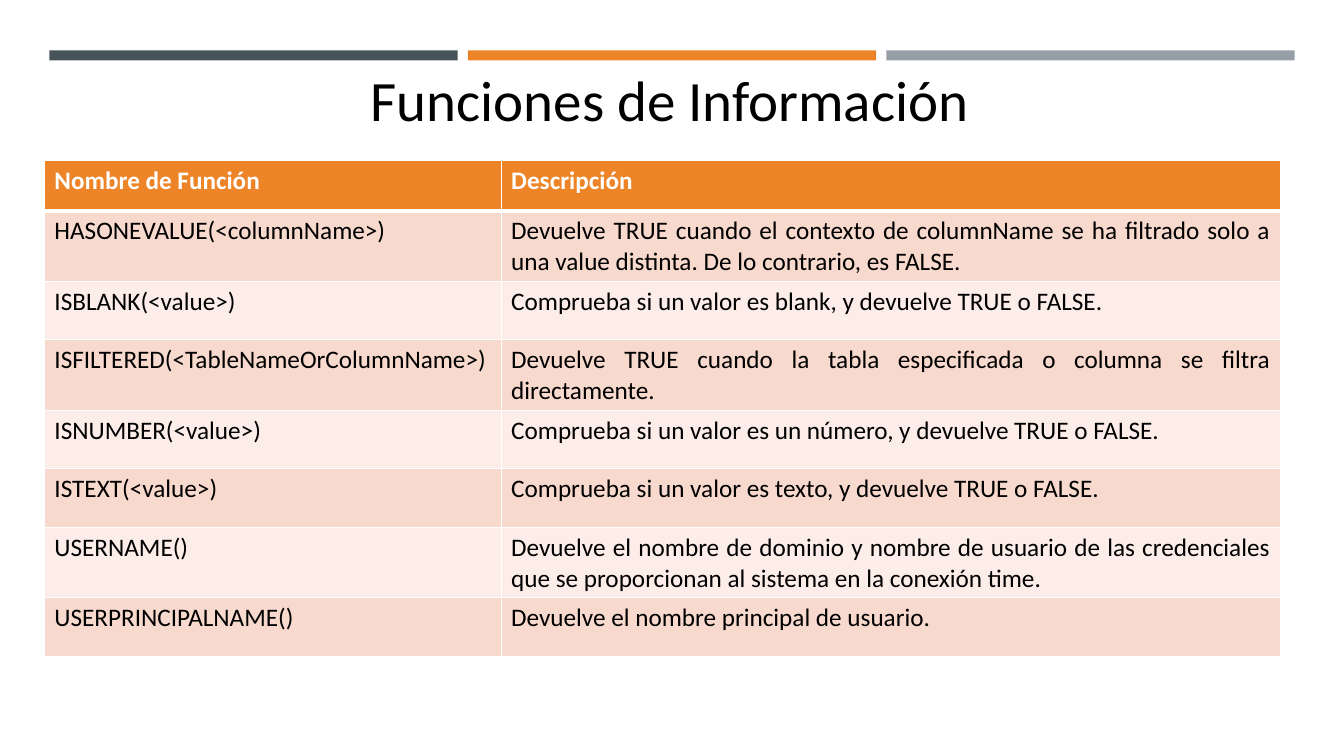
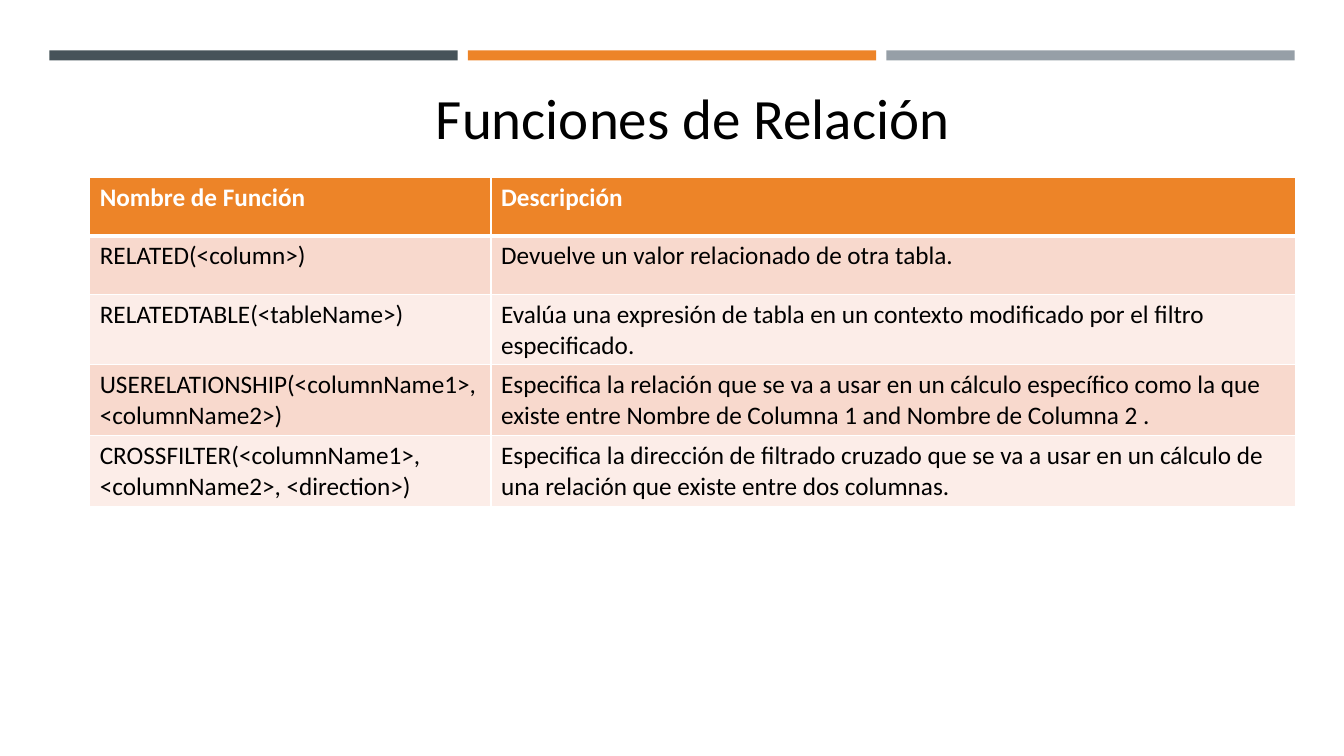
import pptx
import pptx.util
import pptx.dml.color
import pptx.enum.shapes
import pptx.enum.text
import pptx.oxml.ns
import lxml.etree

Inches = pptx.util.Inches
Pt = pptx.util.Pt
RGBColor = pptx.dml.color.RGBColor
Align = pptx.enum.text.PP_ALIGN

SLATE = RGBColor(0x46, 0x53, 0x59)
ORANGE = RGBColor(0xED, 0x84, 0x28)
GRAY = RGBColor(0x96, 0x9F, 0xA7)
WHITE = RGBColor(0xFF, 0xFF, 0xFF)
BLACK = RGBColor(0, 0, 0)
ROW_FILLS = (RGBColor(0xF8, 0xD9, 0xCD), RGBColor(0xFC, 0xED, 0xE8))

FONT = "Calibri"
TITLE_SIZE = 40.7
TABLE_SIZE = 18
ROW_HEIGHT = 0.58
HEADINGS = ("Nombre de Función", "Descripción")

INFORMATION_ROWS = [
    ("HASONEVALUE(<columnName>)",
     "Devuelve TRUE cuando el contexto de columnName se ha filtrado solo a una value distinta. "
     "De lo contrario, es FALSE."),
    ("ISBLANK(<value>)", "Comprueba si un valor es blank, y devuelve TRUE o FALSE."),
    ("ISFILTERED(<TableNameOrColumnName>)",
     "Devuelve TRUE cuando la tabla especificada o columna se filtra directamente."),
    ("ISNUMBER(<value>)", "Comprueba si un valor es un número, y devuelve TRUE o FALSE."),
    ("ISTEXT(<value>)", "Comprueba si un valor es texto, y devuelve TRUE o FALSE."),
    ("USERNAME()",
     "Devuelve el nombre de dominio y nombre de usuario de las credenciales que se proporcionan "
     "al sistema en la conexión time."),
    ("USERPRINCIPALNAME()", "Devuelve el nombre principal de usuario."),
]

RELATION_ROWS = [
    ("RELATED(<column>)", "Devuelve un valor relacionado de otra tabla."),
    ("RELATEDTABLE(<tableName>)",
     "Evalúa una expresión de tabla en un contexto modificado por el filtro especificado."),
    ("USERELATIONSHIP(<columnName1>,<columnName2>)",
     "Especifica la relación que se va a usar en un cálculo específico como la que existe entre "
     "Nombre de Columna 1 and Nombre de Columna 2 ."),
    ("CROSSFILTER(<columnName1>, <columnName2>, <direction>)",
     "Especifica la dirección de filtrado cruzado que se va a usar en un cálculo de una relación "
     "que existe entre dos columnas."),
]


def style_text(paragraph, size, color, bold=False, align=Align.LEFT):
    paragraph.alignment = align
    for span in paragraph.runs:
        span.font.name = FONT
        span.font.size = Pt(size)
        span.font.bold = bold
        span.font.color.rgb = color


def add_bands(page):
    for index, color in enumerate((SLATE, ORANGE, GRAY)):
        band = page.shapes.add_shape(
            pptx.enum.shapes.MSO_SHAPE.RECTANGLE,
            Inches(0.49 + 4.15 * index), Inches(0.5), Inches(4.05), Inches(0.1))
        band.shadow.inherit = False
        band.fill.solid()
        band.fill.fore_color.rgb = color
        band.line.fill.background()


def add_title(page, title, left, top):
    box = page.shapes.add_textbox(Inches(left), Inches(top), Inches(10.54), Inches(0.67))
    frame = box.text_frame
    frame.word_wrap = True
    frame.vertical_anchor = pptx.enum.text.MSO_ANCHOR.MIDDLE
    frame.text = title
    para = frame.paragraphs[0]
    para.line_spacing = 0.8
    style_text(para, TITLE_SIZE, BLACK, align=Align.CENTER)


def set_borders(cell, top, bottom):
    qn = pptx.oxml.ns.qn
    properties = cell._tc.get_or_add_tcPr()
    for side, width in (("L", 1), ("R", 1), ("T", top), ("B", bottom)):
        line = lxml.etree.SubElement(properties, qn(f"a:ln{side}"), w=str(Pt(width)))
        fill = lxml.etree.SubElement(line, qn("a:solidFill"))
        lxml.etree.SubElement(fill, qn("a:srgbClr"), val=str(WHITE))


def add_function_table(page, rows, left, top, widths, header_height, description_align):
    heights = [header_height] + [ROW_HEIGHT] * len(rows)
    table = page.shapes.add_table(
        len(heights), len(widths), Inches(left), Inches(top),
        Inches(sum(widths)), Inches(sum(heights))).table
    for column, width in zip(table.columns, widths):
        column.width = Inches(width)
    for row_index, texts in enumerate([HEADINGS] + rows):
        table.rows[row_index].height = Inches(heights[row_index])
        header = row_index == 0
        for column_index, text in enumerate(texts):
            cell = table.cell(row_index, column_index)
            cell.text = text
            set_borders(cell, 3 if row_index == 1 else 1, 3 if header else 1)
            cell.fill.solid()
            cell.fill.fore_color.rgb = ORANGE if header else ROW_FILLS[(row_index - 1) % 2]
            align = description_align if column_index and not header else Align.LEFT
            style_text(cell.text_frame.paragraphs[0], TABLE_SIZE,
                       WHITE if header else BLACK, header, align)


def add_page(deck, title, title_at):
    page = deck.slides.add_slide(deck.slide_layouts[6])
    add_bands(page)
    add_title(page, title, *title_at)
    return page


def main():
    deck = pptx.Presentation()
    deck.slide_width = Inches(13.33)
    deck.slide_height = Inches(7.5)
    page = add_page(deck, "Funciones de Información", (1.37, 0.71))
    add_function_table(page, INFORMATION_ROWS, 0.44, 1.59, (4.53, 7.73), 0.5, Align.JUSTIFY)
    page = add_page(deck, "Funciones de Relación", (1.6, 0.89))
    add_function_table(page, RELATION_ROWS, 0.89, 1.76, (3.98, 7.98), ROW_HEIGHT, Align.LEFT)
    deck.save("out.pptx")


if __name__ == "__main__":
    main()
